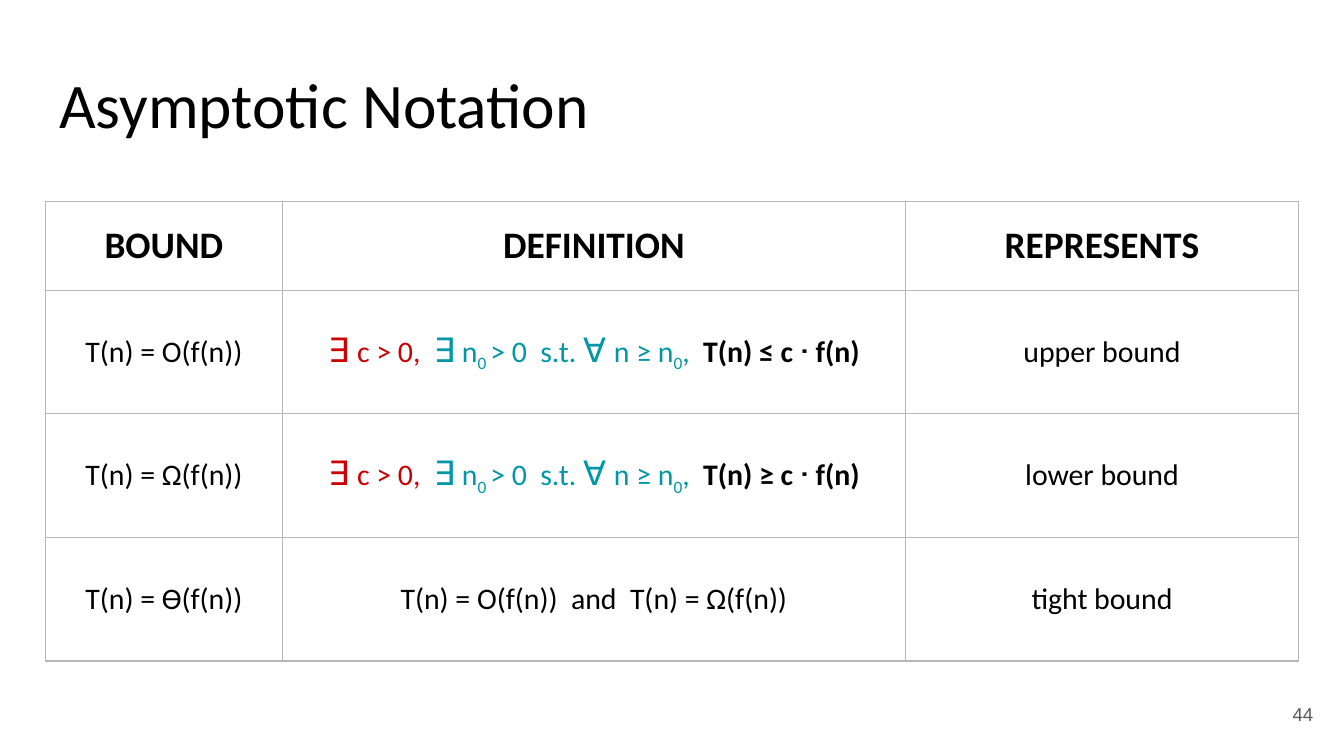
"""Build a slide with a table of asymptotic bounds."""
import dataclasses

import lxml.etree
import pptx
import pptx.dml.color
import pptx.enum.text
import pptx.oxml.ns
import pptx.util

Inches = pptx.util.Inches
ALIGN = pptx.enum.text.PP_ALIGN
MIDDLE = pptx.enum.text.MSO_ANCHOR.MIDDLE

HUES = {
    "black": "000000",
    "white": "FFFFFF",
    "red": "CC0000",
    "teal": "0097A7",
    "border": "B7B7B7",
    "grey": "595959",
}
WIDTHS = (1.76, 4.64, 2.92)
HEIGHTS = (0.66, 0.92, 0.92, 0.92)


@dataclasses.dataclass(frozen=True)
class Span:
    text: str
    size: float = 16
    hue: str = "black"
    bold: bool = False
    font: str = "Calibri"
    low: bool = False


def get_hue(name: str) -> pptx.dml.color.RGBColor:
    return pptx.dml.color.RGBColor.from_string(HUES[name])


def write(frame, spans: list[Span], align: ALIGN) -> None:
    frame.word_wrap = True
    line = frame.paragraphs[0]
    line.alignment = align
    for span in spans:
        run = line.add_run()
        run.text = span.text
        run.font.size = pptx.util.Pt(span.size)
        run.font.name = span.font
        run.font.bold = span.bold
        run.font.color.rgb = get_hue(span.hue)
        if span.low:
            run._r.get_or_add_rPr().set("baseline", "-25000")


def pad(box) -> None:
    box.margin_left = box.margin_right = Inches(0.1)
    box.margin_top = box.margin_bottom = Inches(0.1)
    box.vertical_anchor = MIDDLE


def add_edges(cell) -> None:
    props = cell._tc.get_or_add_tcPr()
    name = pptx.oxml.ns.qn
    for side in ("lnL", "lnR", "lnT", "lnB"):
        edge = lxml.etree.SubElement(props, name(f"a:{side}"), w=str(pptx.util.Pt(0.75)))
        fill = lxml.etree.SubElement(edge, name("a:solidFill"))
        lxml.etree.SubElement(fill, name("a:srgbClr"), val=HUES["border"])


def define(sign: str) -> list[Span]:
    return [
        Span("∃ ", 18, "red"),
        Span("c > 0,  ", hue="red"),
        Span("∃", 18, "teal"),
        Span(" n", hue="teal"),
        Span("0 ", hue="teal", low=True),
        Span("> 0  s.t. ", hue="teal"),
        Span("∀ ", 18, "teal"),
        Span("n ≥ n", hue="teal"),
        Span("0", hue="teal", low=True),
        Span(",  ", hue="teal"),
        Span(f"T(n) {sign} c ᐧ f(n)", bold=True),
    ]


def add_title(slide) -> None:
    title = slide.shapes.title
    title.left, title.top = Inches(0.34), Inches(0.41)
    title.width, title.height = Inches(9.32), Inches(0.71)
    title.line.color.rgb = get_hue("white")
    title.line.width = pptx.util.Pt(2.25)
    frame = title.text_frame
    frame.auto_size = pptx.enum.text.MSO_AUTO_SIZE.NONE
    pad(frame)
    write(frame, [Span("Asymptotic Notation", 34)], ALIGN.LEFT)


def add_bounds(slide) -> None:
    heads = ("BOUND", "DEFINITION", "REPRESENTS")
    rows = [
        [[Span(head, 20, bold=True)] for head in heads],
        [[Span("T(n) = O(f(n))")], define("≤"), [Span("upper bound")]],
        [[Span("T(n) = Ω(f(n))")], define("≥"), [Span("lower bound")]],
        [
            [Span("T(n) = Ө(f(n))")],
            [Span("T(n) = O(f(n))  and  T(n) = Ω(f(n))")],
            [Span("tight bound")],
        ],
    ]
    table = slide.shapes.add_table(
        len(HEIGHTS), len(WIDTHS), Inches(0.34), Inches(1.5),
        Inches(sum(WIDTHS)), Inches(sum(HEIGHTS)),
    ).table
    table.first_row = table.horz_banding = False
    for col, width in zip(table.columns, WIDTHS):
        col.width = Inches(width)
    for row, height in zip(table.rows, HEIGHTS):
        row.height = Inches(height)
    for y, row in enumerate(rows):
        for x, spans in enumerate(row):
            cell = table.cell(y, x)
            add_edges(cell)
            if y == 0:
                cell.fill.solid()
                cell.fill.fore_color.rgb = get_hue("white")
            else:
                cell.fill.background()
            pad(cell)
            write(cell.text_frame, spans, ALIGN.CENTER)


def add_page(slide) -> None:
    box = slide.shapes.add_textbox(Inches(9.27), Inches(5.1), Inches(0.6), Inches(0.43))
    pad(box.text_frame)
    write(box.text_frame, [Span("44", 10, "grey", font="Arial")], ALIGN.RIGHT)


def main() -> None:
    deck = pptx.Presentation()
    deck.slide_width = Inches(10)
    deck.slide_height = deck.slide_width * 9 // 16
    slide = deck.slides.add_slide(deck.slide_layouts[5])
    add_title(slide)
    add_bounds(slide)
    add_page(slide)
    deck.save("out.pptx")


if __name__ == "__main__":
    main()
